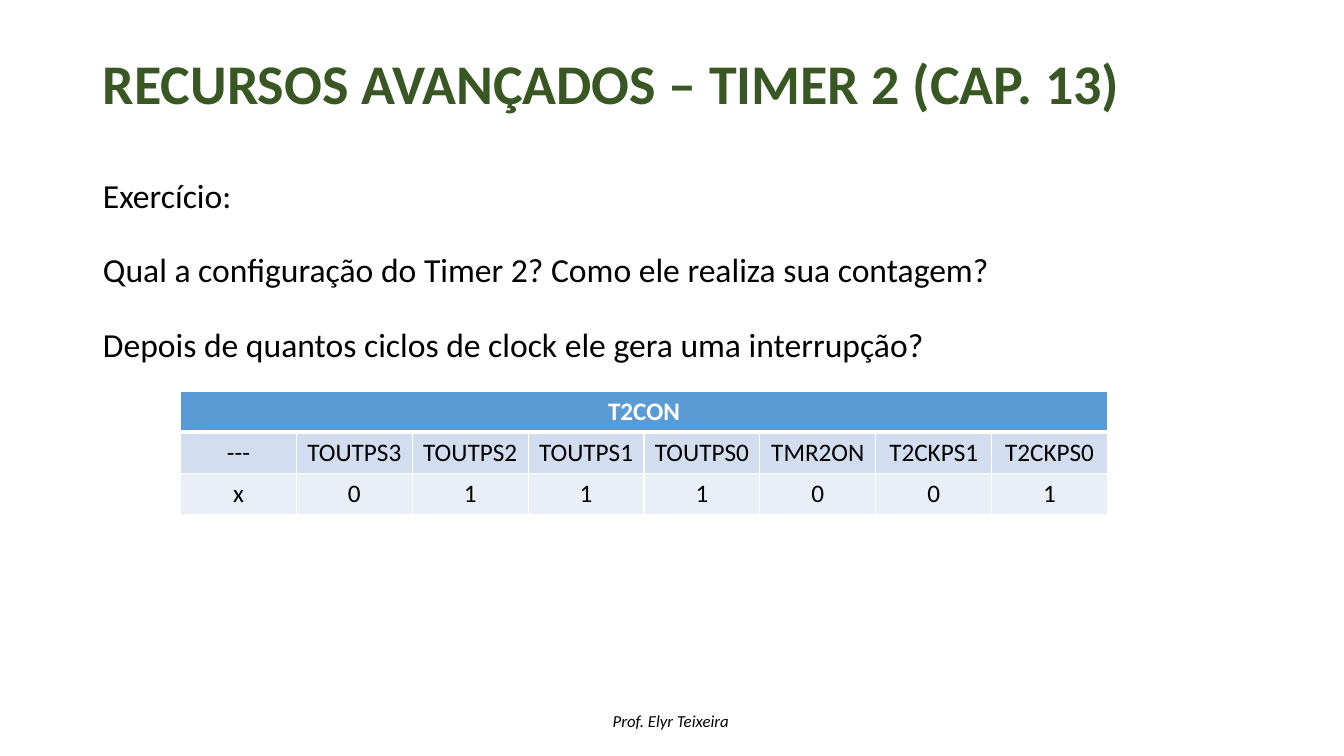
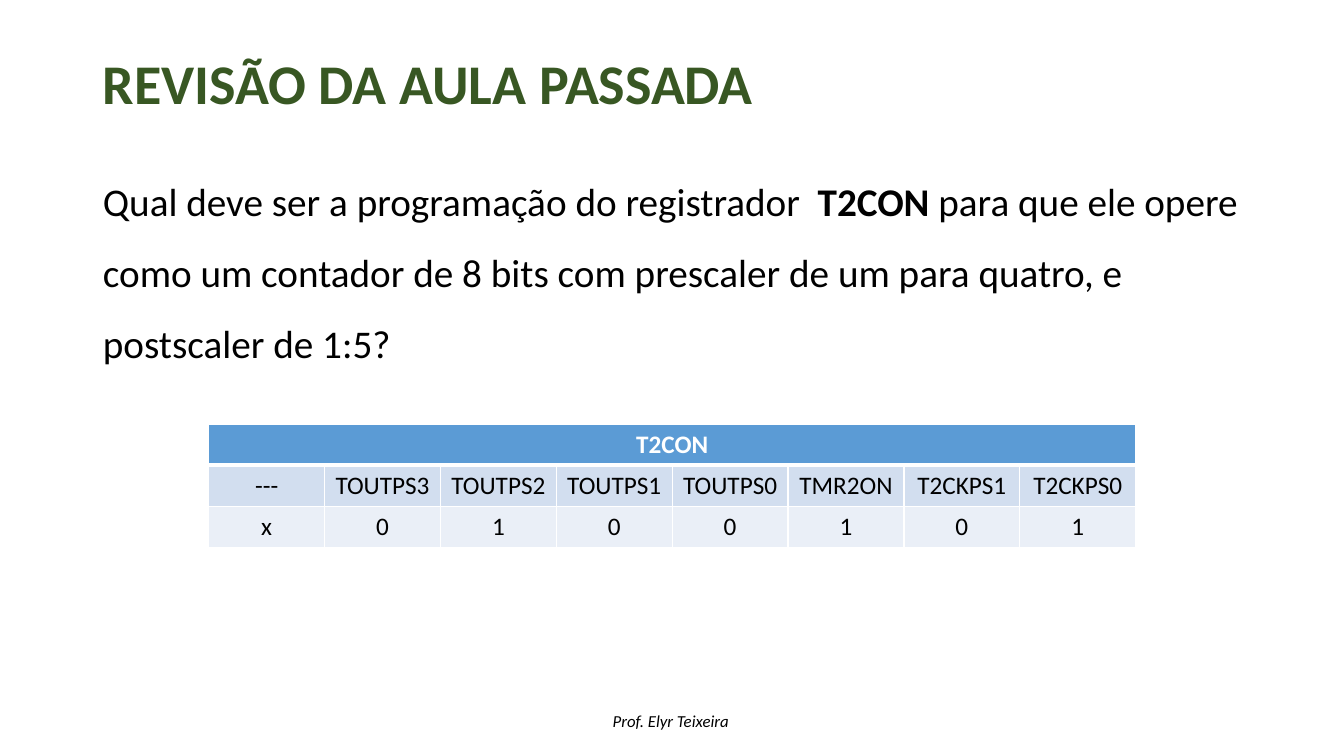
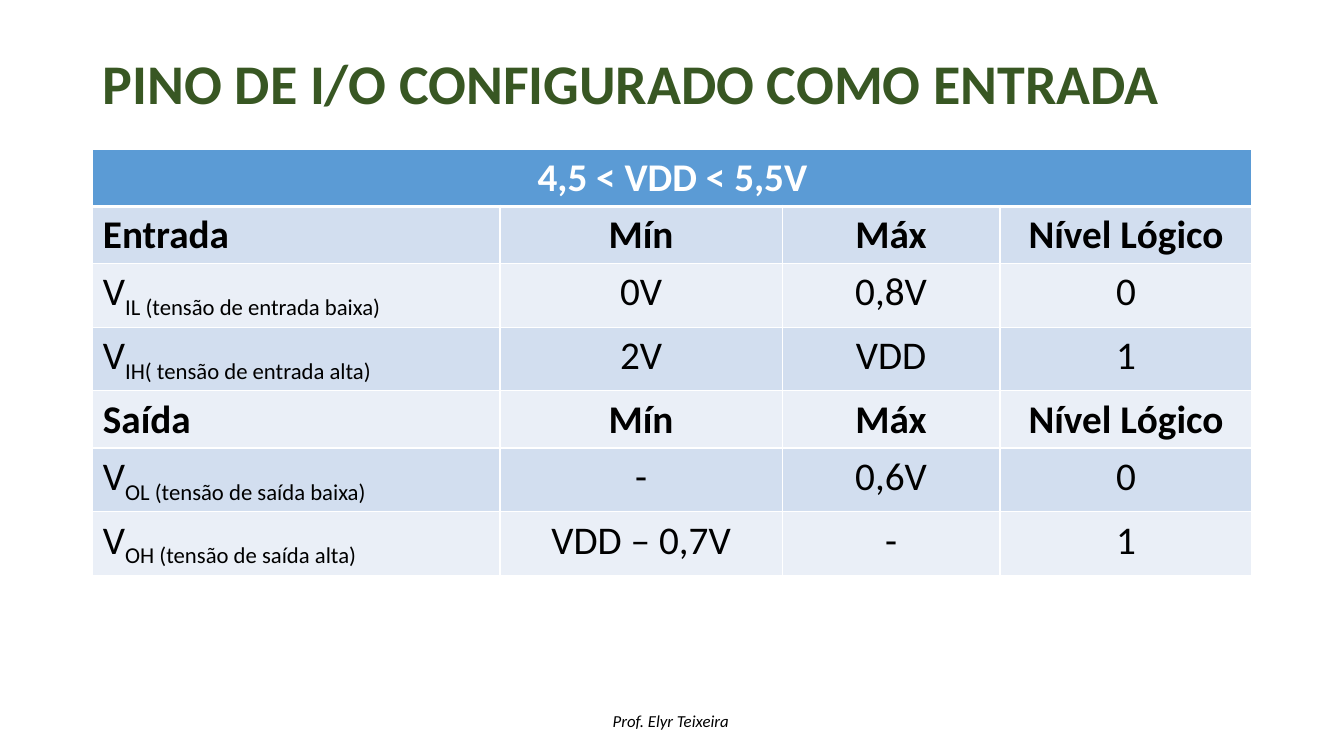
from dataclasses import dataclass

from pptx import Presentation
from pptx import util as u
from pptx.dml.color import RGBColor
from pptx.enum import text
from pptx.oxml import parse_xml
from pptx.oxml.ns import nsdecls
from pptx.oxml.xmlchemy import OxmlElement

LEFT, MID = text.PP_ALIGN.LEFT, text.PP_ALIGN.CENTER


@dataclass(frozen=True)
class Theme:
    font: str = "Calibri"
    green: str = "385723"
    black: str = "000000"
    white: str = "FFFFFF"
    blue: str = "5B9BD5"
    bands: tuple = ("D2DEEF", "EAEFF7")
    title: int = 40
    large: int = 28
    body: int = 24
    cell: int = 18
    foot: int = 12


THEME = Theme()


def write(frame, paras, size, color=THEME.black, bold=False, slant=False,
          align=LEFT, lead=1.0, gap=0, plain=False):
    for i, runs in enumerate(paras):
        para = frame.paragraphs[0] if i == 0 else frame.add_paragraph()
        if plain:
            props = para._p.get_or_add_pPr()
            props.set("marL", "0")
            props.set("indent", "0")
            props.append(OxmlElement("a:buNone"))
        para.alignment, para.line_spacing = align, lead
        para.space_before = u.Pt(gap if i else 0)
        for part in [runs] if isinstance(runs, str) else runs:
            words, style = (part, "") if isinstance(part, str) else part
            run = para.add_run()
            run.text = words
            font = run.font
            font.name, font.size, font.italic = THEME.font, u.Pt(size), slant
            font.bold = bold or style == "bold"
            font.color.rgb = RGBColor.from_string(color)
            if style == "sub":
                run._r.get_or_add_rPr().set("baseline", "-25000")


def border(cell, base):
    props = cell._tc.get_or_add_tcPr()
    for i, side in enumerate("LRTB"):
        width = u.Pt(base if side == "B" else 1)
        props.insert(i, parse_xml(
            f'<a:ln{side} {nsdecls("a")} w="{width}"><a:solidFill>'
            f'<a:srgbClr val="{THEME.white}"/></a:solidFill></a:ln{side}>'))


class Deck:
    """Builds slides in one shared style."""

    def __init__(self):
        self.show = Presentation()
        self.show.slide_width, self.show.slide_height = u.Cm(33.87), u.Cm(19.05)
        self.slide = None

    def place(self, shape, top, height):
        shape.left, shape.top = u.Cm(2.34), u.Cm(top)
        shape.width, shape.height = u.Cm(29.21), u.Cm(height)
        shape.text_frame.auto_size = text.MSO_AUTO_SIZE.NONE
        return shape.text_frame

    def start(self, title, layout=1):
        self.slide = self.show.slides.add_slide(self.show.slide_layouts[layout])
        frame = self.place(self.slide.shapes.title, 0.58, 3.2)
        frame.vertical_anchor = text.MSO_ANCHOR.MIDDLE
        write(frame, [title], THEME.title, THEME.green, bold=True, lead=0.9)
        self.footer()

    def footer(self):
        box = self.slide.shapes.add_textbox(u.Cm(15.19), u.Cm(17.78), u.Cm(3.48), u.Cm(0.76))
        box.text_frame.word_wrap = False
        write(box.text_frame, ["Prof. Elyr Teixeira"], THEME.foot, slant=True)

    def body(self, paras, height, size):
        frame = self.place(self.slide.placeholders[1], 3.76, height)
        write(frame, paras, size, lead=1.5, gap=10, plain=True)

    def table(self, rows, left, top, widths, height, size, first=MID,
              strong=(), anchor=text.MSO_ANCHOR.MIDDLE):
        grid = self.slide.shapes.add_table(
            len(rows), len(widths), u.Cm(left), u.Cm(top),
            u.Cm(sum(widths)), u.Cm(height)).table
        for col, width in zip(grid.columns, widths):
            col.width = u.Cm(width)
        grid.cell(0, 0).merge(grid.cell(0, len(widths) - 1))
        for r, row in enumerate(rows):
            head = r == 0
            fill = THEME.blue if head else THEME.bands[(r - 1) % 2]
            for c in range(len(widths)):
                cell = grid.cell(r, c)
                cell.fill.solid()
                cell.fill.fore_color.rgb = RGBColor.from_string(fill)
                cell.vertical_anchor = anchor
                border(cell, 3 if head else 1)
                if c < len(row):
                    write(cell.text_frame, [row[c]], size,
                          THEME.white if head else THEME.black,
                          bold=head or r in strong,
                          align=MID if head or c else first)

    def timer(self, bits, left, top):
        names = "--- TOUTPS3 TOUTPS2 TOUTPS1 TOUTPS0 TMR2ON T2CKPS1 T2CKPS0".split()
        self.table([["T2CON"], names, list(bits)], left, top,
                   [2.92] * len(names), 3.1, THEME.cell)


def main():
    deck = Deck()

    deck.start("RECURSOS AVANÇADOS – TIMER 2 (CAP. 13)")
    deck.body(["Exercício:",
               "Qual a configuração do Timer 2? Como ele realiza sua contagem?",
               "Depois de quantos ciclos de clock ele gera uma interrupção?"],
              5.54, THEME.body)
    deck.timer("x0111001", 4.55, 9.86)

    deck.start("REVISÃO DA AULA PASSADA")
    deck.body([["Qual deve ser a programação do registrador ", (" T2CON", "bold"),
                " para que ele opere como um contador de 8 bits com prescaler"
                " de um para quatro, e postscaler de 1:5?"]], 13.39, THEME.large)
    deck.timer("x0100101", 5.26, 10.69)

    deck.start("PINO DE I/O CONFIGURADO COMO ENTRADA", layout=5)
    heads = ["Mín", "Máx", "Nível Lógico"]
    deck.table([
        ["4,5 < VDD < 5,5V"],
        ["Entrada", *heads],
        [["V", ("IL (tensão de entrada baixa)", "sub")], "0V", "0,8V", "0"],
        [["V", ("IH( tensão de entrada alta)", "sub")], "2V", "VDD", "1"],
        ["Saída", *heads],
        [["V", ("OL (tensão de saída baixa)", "sub")], "-", "0,6V", "0"],
        [["V", ("OH (tensão de saída alta)", "sub")], "VDD – 0,7V", "-", "1"],
    ], 2.34, 3.76, [10.26, 7.11, 5.49, 6.35], 10.08, THEME.large,
        first=LEFT, strong=(1, 4), anchor=text.MSO_ANCHOR.TOP)

    deck.show.save("out.pptx")


if __name__ == "__main__":
    main()
